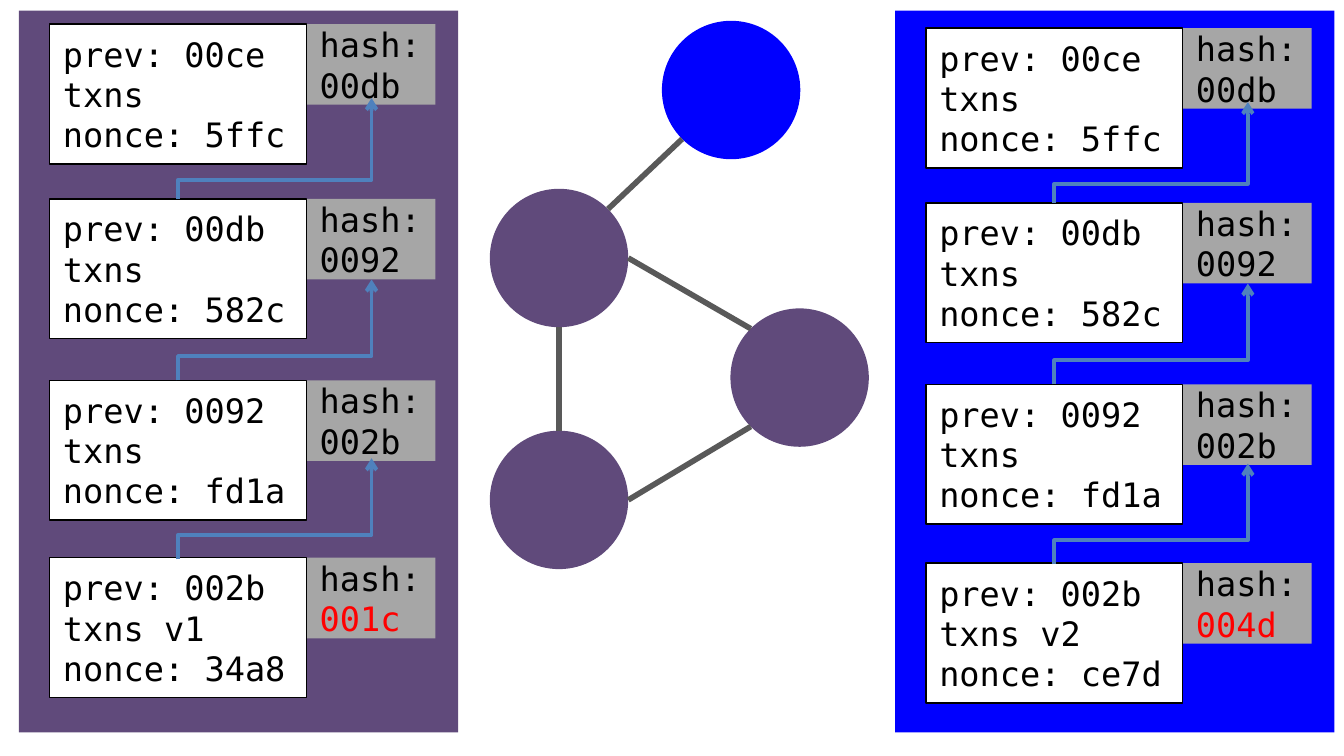
"""Build a slide of four network nodes between two diverging block chains."""
import dataclasses
import math

import lxml.etree
import pptx
import pptx.dml.color
import pptx.enum.shapes
import pptx.enum.text
import pptx.oxml.ns
import pptx.util

Inches = pptx.util.Inches
Pt = pptx.util.Pt
qn = pptx.oxml.ns.qn
SHAPE = pptx.enum.shapes.MSO_SHAPE
CONNECTOR = pptx.enum.shapes.MSO_CONNECTOR


@dataclasses.dataclass(frozen=True)
class Theme:
    purple: str = "604A7B"
    blue: str = "0000FF"
    white: str = "FFFFFF"
    black: str = "000000"
    red: str = "FF0000"
    tag: str = "A6A6A6"
    link: str = "595959"
    arrow: str = "4F81BD"
    font: str = "DejaVu Sans Mono"
    text_size: float = 18
    border_width: float = 0.75
    arrow_width: float = 2
    link_width: float = 3


def rgb(color):
    return pptx.dml.color.RGBColor.from_string(color)


class ChainSlide:
    block_width, block_height = 1.91, 1.04
    tag_width, tag_height = 0.96, 0.6
    arrow_rise, arrow_run = 0.75, 1.44
    node_size = 1.03

    def __init__(self, slide, theme):
        self.slide = slide
        self.theme = theme

    def shape(self, kind, left, top, width, height, fill, border=None):
        shape = self.slide.shapes.add_shape(
            kind, Inches(left), Inches(top), Inches(width), Inches(height))
        shape.shadow.inherit = False
        shape.fill.solid()
        shape.fill.fore_color.rgb = rgb(fill)
        if border:
            shape.line.color.rgb = rgb(border)
            shape.line.width = Pt(self.theme.border_width)
        else:
            shape.line.fill.background()
        return shape

    def text(self, shape, lines):
        frame = shape.text_frame
        frame.word_wrap = True
        frame.vertical_anchor = pptx.enum.text.MSO_ANCHOR.MIDDLE
        for index, line in enumerate(lines):
            paragraph = frame.add_paragraph() if index else frame.paragraphs[0]
            paragraph.alignment = pptx.enum.text.PP_ALIGN.LEFT
            paragraph.font.name = self.theme.font
            paragraph.font.size = Pt(self.theme.text_size)
            paragraph.font.color.rgb = rgb(self.theme.black)
            paragraph.add_run().text = line
        return paragraph

    def panel(self, left, fill):
        self.shape(SHAPE.RECTANGLE, left, 0.08, 3.27, 5.37, fill)

    def node(self, center, fill):
        x, y = center
        size = self.node_size
        self.shape(SHAPE.OVAL, x - size / 2, y - size / 2, size, size, fill)

    def connector(self, kind, start, end, color, width):
        connector = self.slide.shapes.add_connector(
            kind, *(Inches(value) for value in (*start, *end)))
        connector.line.color.rgb = rgb(color)
        connector.line.width = Pt(width)
        lxml.etree.SubElement(connector.element.spPr, qn("a:effectLst"))
        return connector

    def link(self, start, start_angle, end, end_angle):
        radius = self.node_size / 2
        points = [
            (x + radius * math.cos(math.radians(angle)),
             y - radius * math.sin(math.radians(angle)))
            for (x, y), angle in ((start, start_angle), (end, end_angle))]
        self.connector(CONNECTOR.STRAIGHT, *points,
                       self.theme.link, self.theme.link_width)

    def block(self, left, top, previous, transactions, nonce, block_hash):
        tag = self.shape(SHAPE.RECTANGLE, left + self.block_width, top,
                         self.tag_width, self.tag_height, self.theme.tag)
        block = self.shape(SHAPE.RECTANGLE, left, top, self.block_width,
                           self.block_height, self.theme.white, self.theme.black)
        self.text(block, [f"prev: {previous}", transactions, f"nonce: {nonce}"])
        return self.text(tag, [f"hash:{block_hash}"])

    def arrow(self, left, bottom, bend):
        center_x = left + self.block_width / 2 + self.arrow_run / 2
        center_y = bottom - self.arrow_rise / 2
        half_width, half_height = self.arrow_rise / 2, self.arrow_run / 2
        connector = self.connector(
            CONNECTOR.ELBOW,
            (center_x + half_width, center_y + half_height),
            (center_x - half_width, center_y - half_height),
            self.theme.arrow, self.theme.arrow_width)
        properties = connector.element.spPr
        properties.find(qn("a:xfrm")).set("rot", "5400000")
        adjustments = properties.find(qn("a:prstGeom")).find(qn("a:avLst"))
        lxml.etree.SubElement(adjustments, qn("a:gd"), name="adj1",
                              fmla=f"val {round(bend * 100000)}")
        line = properties.find(qn("a:ln"))
        lxml.etree.SubElement(line, qn("a:tailEnd"), type="arrow")

    def chain(self, left, tops, version, last_nonce, last_hash):
        blocks = [
            ("00ce", "txns", "5ffc", "00db"),
            ("00db", "txns", "582c", "0092"),
            ("0092", "txns", "fd1a", "002b"),
            ("002b", f"txns {version}", last_nonce, ""),
        ]
        for top, block in zip(tops, blocks):
            label = self.block(left, top, *block)
        conflict = label.add_run()
        conflict.text = last_hash
        conflict.font.color.rgb = rgb(self.theme.red)
        second, third, fourth = tops[1:]
        for bottom, bend in ((second, 0.19), (third, 0.24), (fourth + 0.01, 0.24)):
            self.arrow(left, bottom, bend)


def main():
    presentation = pptx.Presentation()
    presentation.slide_width = Inches(10)
    presentation.slide_height = Inches(10 * 9 / 16)
    theme = Theme()
    page = ChainSlide(
        presentation.slides.add_slide(presentation.slide_layouts[6]), theme)

    page.panel(0.14, theme.purple)
    page.panel(6.66, theme.blue)

    upper, lower, right, outsider = (4.16, 1.92), (4.16, 3.72), (5.95, 2.81), (5.44, 0.67)
    for center in (upper, lower, right):
        page.node(center, theme.purple)
    page.node(outsider, theme.blue)
    page.link(upper, 0, right, 135)
    page.link(lower, 90, upper, 270)
    page.link(lower, 0, right, 225)
    page.link(upper, 45, outsider, 225)

    page.chain(0.37, (0.18, 1.48, 2.83, 4.15), "v1", "34a8", "001c")
    page.chain(6.89, (0.21, 1.51, 2.86, 4.19), "v2", "ce7d", "004d")
    presentation.save("out.pptx")


if __name__ == "__main__":
    main()
